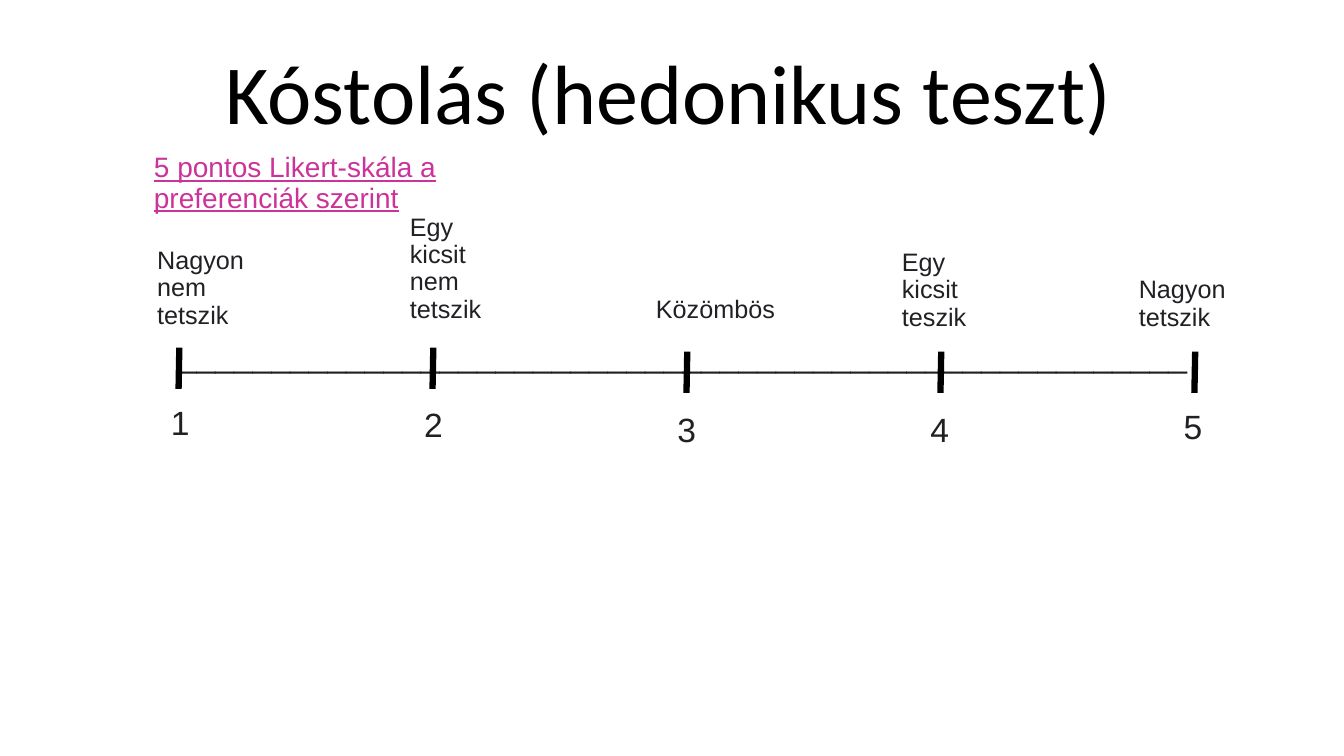
from lxml import etree
from pptx import Presentation
from pptx.dml.color import RGBColor
from pptx.enum.shapes import MSO_CONNECTOR
from pptx.enum.text import MSO_ANCHOR, MSO_AUTO_SIZE, PP_ALIGN
from pptx.oxml.ns import qn
from pptx.util import Cm, Pt

STRAIGHT = MSO_CONNECTOR.STRAIGHT
BOTTOM = MSO_ANCHOR.BOTTOM
FIXED_SIZE = MSO_AUTO_SIZE.NONE
LEFT, CENTER = PP_ALIGN.LEFT, PP_ALIGN.CENTER
TITLE_ONLY = 5

BLACK = "000000"
DARK = "202124"
PINK = "CC3399"

FIRST_TICK, TICK_GAP, TICK_HEIGHT = 4.51, 6.4, 1.04
FIRST_NUMBER, NUMBER_GAP = 4.06, 6.38

# label, label left, label top, label width, tick top, number top
SCALE = [
    ("Nagyon nem tetszik", 3.71, 6.5, 2.9, 8.76, 9.91),
    ("Egy kicsit nem tetszik", 10.08, 6.35, 2.49, 8.76, 9.96),
    ("Közömbös", 16.28, 6.35, 3.56, 8.86, 10.08),
    ("Egy kicsit teszik", 22.48, 6.55, 2.49, 8.86, 10.08),
    ("Nagyon tetszik", 28.45, 6.55, 2.9, 8.86, 10.01),
]


def color(hex_string):
    return RGBColor.from_string(hex_string)


def write(frame, text, size, hex_color, font="Arial", align=LEFT):
    frame.text = text
    frame.word_wrap = True
    frame.auto_size = FIXED_SIZE
    frame.vertical_anchor = BOTTOM
    paragraph = frame.paragraphs[0]
    paragraph.alignment = align
    paragraph.line_spacing = 0.9
    paragraph.font.name = font
    paragraph.font.size = Pt(size)
    paragraph.font.color.rgb = color(hex_color)
    return paragraph


def add_title(slide, text):
    title = slide.shapes.title
    title.left, title.top = Cm(4.14), Cm(0.89)
    title.width, title.height = Cm(25.4), Cm(2.82)
    write(title.text_frame, text, 60, BLACK, "Calibri", CENTER)


def add_text(slide, text, left, top, width, height, size, hex_color=DARK):
    box = slide.shapes.add_textbox(Cm(left), Cm(top), Cm(width), Cm(height))
    return write(box.text_frame, text, size, hex_color)


def add_tick(slide, x, top):
    tick = slide.shapes.add_connector(
        STRAIGHT, Cm(x + 0.01), Cm(top), Cm(x - 0.01), Cm(top + TICK_HEIGHT))
    tick.line.color.rgb = color(BLACK)
    tick.line.width = Pt(4.5)
    etree.SubElement(tick._element.spPr, qn("a:effectLst"))


def main():
    presentation = Presentation()
    presentation.slide_width = Cm(33.87)
    presentation.slide_height = Cm(19.05)
    slide = presentation.slides.add_slide(presentation.slide_layouts[TITLE_ONLY])

    add_title(slide, "Kóstolás (hedonikus teszt)")
    add_text(slide, "_" * 54, 4.24, 8.86, 26.16, 0.71, 24)
    for i, (label, left, top, width, tick_top, number_top) in enumerate(SCALE):
        add_tick(slide, FIRST_TICK + i * TICK_GAP, tick_top)
        add_text(slide, str(i + 1), FIRST_NUMBER + i * NUMBER_GAP, number_top,
                 0.86, 1.37, 24)
        add_text(slide, label, left, top, width, 1.93, 18)
    heading = add_text(slide, "5 pontos Likert-skála a preferenciák szerint",
                       3.63, 4.45, 11.46, 1.07, 20, PINK)
    heading.font.underline = True

    presentation.save("out.pptx")


if __name__ == "__main__":
    main()
